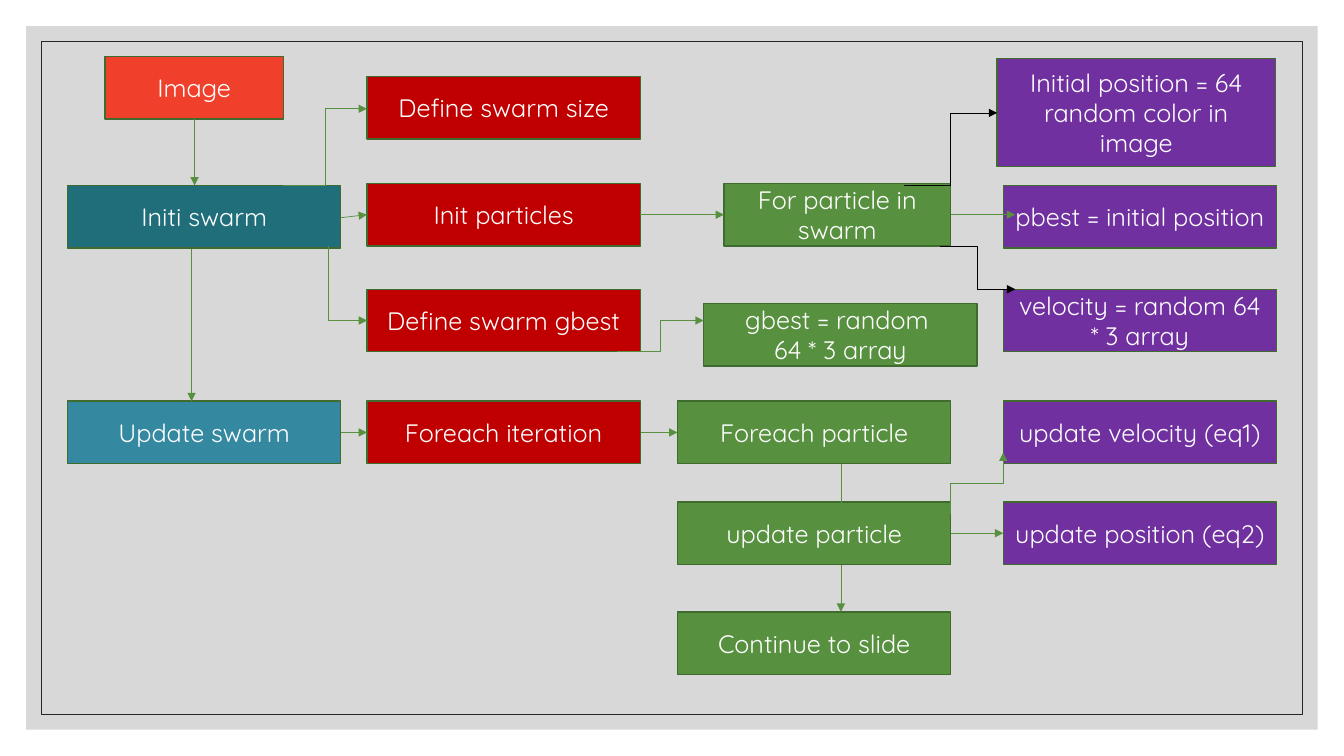
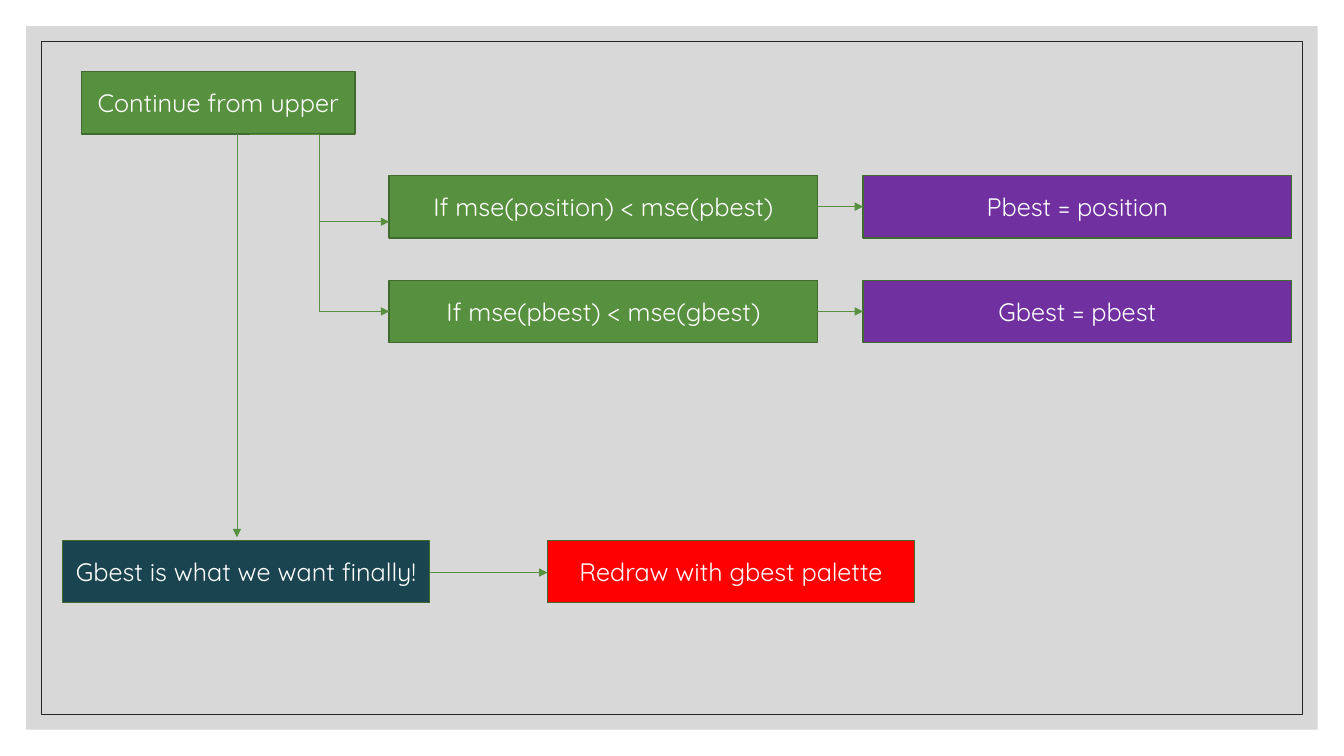
"""Build two flowchart slides describing a swarm search for a colour palette."""
from lxml import etree
from pptx import Presentation
from pptx.dml.color import RGBColor
from pptx.enum.shapes import MSO_CONNECTOR, MSO_SHAPE
from pptx.enum.text import MSO_ANCHOR, PP_ALIGN
from pptx.oxml.ns import qn
from pptx.util import Inches, Pt

RECTANGLE = MSO_SHAPE.RECTANGLE
STRAIGHT, ELBOW = MSO_CONNECTOR.STRAIGHT, MSO_CONNECTOR.ELBOW
CENTER, MIDDLE = PP_ALIGN.CENTER, MSO_ANCHOR.MIDDLE

FONT = "Quicksand"
WHITE = RGBColor(0xFF, 0xFF, 0xFF)
BLACK = RGBColor(0x00, 0x00, 0x00)
GRAY = RGBColor(0xBF, 0xBF, 0xBF)
CHARCOAL = RGBColor(0x26, 0x26, 0x26)
GREEN = RGBColor(0x57, 0x90, 0x3F)
DARK_GREEN = RGBColor(0x40, 0x6B, 0x2F)
PURPLE = RGBColor(0x70, 0x30, 0xA0)
CRIMSON = RGBColor(0xC0, 0x00, 0x00)
RED = RGBColor(0xFF, 0x00, 0x00)
ORANGE = RGBColor(0xF0, 0x3F, 0x2B)
TEAL = RGBColor(0x1F, 0x6E, 0x7A)
BLUE = RGBColor(0x34, 0x88, 0xA0)
NAVY = RGBColor(0x1A, 0x44, 0x50)

WIDTH, HEIGHT = 13.33, 7.5
BOX_WIDTH, BOX_HEIGHT = 2.71, 0.62
WIDE, MEDIUM = 4.25, 3.64
STAGE, STEP, LOOP, RESULT = 0.67, 3.64, 6.72, 9.95
TEST, ACTION = 3.86, 8.56
INIT_ROW, GBEST_ROW, UPDATE_ROW, PARTICLE_ROW, END_ROW = 1.84, 2.87, 3.98, 4.98, 6.07
PBEST_TEST_ROW, GBEST_TEST_ROW, FINAL_ROW = 1.74, 2.78, 5.36


def add_box(slide, text, fill, left, top, width=BOX_WIDTH, height=BOX_HEIGHT):
    """Add a filled rectangle with centred white text."""
    shape = slide.shapes.add_shape(RECTANGLE, Inches(left), Inches(top), Inches(width), Inches(height))
    shape.shadow.inherit = False
    shape.fill.solid()
    shape.fill.fore_color.rgb = fill
    shape.line.color.rgb = DARK_GREEN
    shape.line.width = Pt(1)
    shape.text_frame.text = text
    shape.text_frame.word_wrap = True
    shape.text_frame.vertical_anchor = MIDDLE
    for paragraph in shape.text_frame.paragraphs:
        paragraph.alignment = CENTER
        for run in paragraph.runs:
            run.font.name = FONT
            run.font.size = Pt(18)
            run.font.color.rgb = WHITE


def add_arrow(slide, route, x1, y1, x2, y2, color=GREEN):
    """Add an arrow; 'corner' and 'upright' routes leave their start vertically."""
    turned = route in ("corner", "upright")
    if turned:
        middle_x, middle_y = (x1 + x2) / 2, (y1 + y2) / 2
        half_x, half_y = (x2 - x1) / 2, (y2 - y1) / 2
        x1, x2 = middle_x + half_y, middle_x - half_y
        y1, y2 = middle_y - half_x, middle_y + half_x
    kind = STRAIGHT if route == "straight" else ELBOW
    connector = slide.shapes.add_connector(kind, Inches(x1), Inches(y1), Inches(x2), Inches(y2))
    connector.line.color.rgb = color
    connector.line.width = Pt(0.5)
    properties = connector._element.spPr
    if turned:
        properties.find(qn("a:xfrm")).set("rot", str(270 * 60000))
    if route == "corner":
        properties.find(qn("a:prstGeom")).set("prst", "bentConnector2")
    etree.SubElement(properties.find(qn("a:ln")), qn("a:tailEnd"), type="triangle")
    etree.SubElement(properties, qn("a:effectLst"))


presentation = Presentation()
presentation.slide_width, presentation.slide_height = Inches(WIDTH), Inches(HEIGHT)
blank_layout = presentation.slide_layouts[6]
for placeholder in list(blank_layout.placeholders):
    placeholder._element.getparent().remove(placeholder._element)
swarm_slide = presentation.slides.add_slide(blank_layout)
result_slide = presentation.slides.add_slide(blank_layout)

for margin in (0.26, 0.41):
    frame = swarm_slide.shapes.add_shape(
        RECTANGLE, Inches(margin), Inches(margin), Inches(WIDTH - 2 * margin), Inches(HEIGHT - 2 * margin))
    frame.shadow.inherit = False
    if margin == 0.26:
        frame.fill.solid()
        frame.fill.fore_color.rgb = GRAY
        frame_color = frame._element.spPr.find(qn("a:solidFill"))[0]
        etree.SubElement(frame_color, qn("a:alpha"), val="60000")
        frame.line.fill.background()
    else:
        frame.fill.background()
        frame.line.color.rgb = CHARCOAL
        frame.line.width = Pt(0.5)
    blank_layout.shapes._spTree.append(frame._element)

swarm_boxes = [
    ("Image", ORANGE, 1.04, 0.56, 1.77),
    ("Initi swarm", TEAL, STAGE, INIT_ROW),
    ("Define swarm size", CRIMSON, STEP, 0.76),
    ("Init particles", CRIMSON, STEP, 1.82),
    ("For particle in swarm", GREEN, 7.18, 1.82, 2.25),
    ("Initial position = 64 random color in image", PURPLE, 9.89, 0.58, 2.76, 1.07),
    ("Define swarm gbest", CRIMSON, STEP, GBEST_ROW),
    ("pbest = initial position", PURPLE, RESULT, INIT_ROW),
    ("velocity = random 64 * 3 array", PURPLE, RESULT, GBEST_ROW),
    ("gbest = random \n64 * 3 array", GREEN, 6.98, 3.01),
    ("Update swarm", BLUE, STAGE, UPDATE_ROW),
    ("Foreach iteration", CRIMSON, STEP, UPDATE_ROW),
    ("Foreach particle", GREEN, LOOP, UPDATE_ROW),
    ("update particle", GREEN, LOOP, PARTICLE_ROW),
    ("update velocity (eq1)", PURPLE, RESULT, UPDATE_ROW),
    ("update position (eq2)", PURPLE, RESULT, PARTICLE_ROW),
    ("Continue to slide", GREEN, LOOP, END_ROW),
]
swarm_arrows = [
    ("straight", 1.93, 1.18, 1.93, INIT_ROW),
    ("straight", 1.9, 2.47, 1.9, UPDATE_ROW),
    ("elbow", 2.81, INIT_ROW, STEP, 1.08),
    ("corner", 3.26, 2.44, STEP, 3.18),
    ("straight", 3.38, 2.16, STEP, 2.13),
    ("straight", 6.35, 2.13, 7.18, 2.13),
    ("straight", 9.43, 2.13, 10.07, 2.13),
    ("elbow", 8.97, INIT_ROW, 9.89, 1.12, BLACK),
    ("elbow", 9.32, 2.44, 10.07, GBEST_ROW, BLACK),
    ("elbow", 6.12, 3.49, 6.98, 3.18),
    ("straight", 3.38, 4.29, STEP, 4.29),
    ("straight", 6.36, 4.29, LOOP, 4.29),
    ("straight", 8.34, 4.6, 8.34, 5.1),
    ("upright", 9.43, 5.1, RESULT, 4.49),
    ("straight", 9.43, 5.29, RESULT, 5.29),
    ("straight", 8.34, 5.61, 8.34, END_ROW),
]
result_boxes = [
    ("Continue from upper", GREEN, 0.81, 0.71),
    ("If mse(position) < mse(pbest)", GREEN, TEST, PBEST_TEST_ROW, WIDE),
    ("Pbest = position", PURPLE, ACTION, PBEST_TEST_ROW, WIDE),
    ("If mse(pbest) < mse(gbest)", GREEN, TEST, GBEST_TEST_ROW, WIDE),
    ("Gbest = pbest", PURPLE, ACTION, GBEST_TEST_ROW, WIDE),
    ("Gbest is what we want finally!", NAVY, 0.62, FINAL_ROW, MEDIUM),
    ("Redraw with gbest palette", RED, 5.43, FINAL_ROW, MEDIUM),
]
result_arrows = [
    ("straight", 2.35, 1.33, 2.35, 5.33),
    ("elbow", 2.48, 1.33, TEST, 2.2),
    ("corner", 3.17, 1.33, TEST, 3.09),
    ("straight", 8.1, 2.05, ACTION, 2.05),
    ("straight", 8.1, 3.09, ACTION, 3.09),
    ("straight", 4.26, 5.68, 5.43, 5.68),
]

for slide, boxes, arrows in (
    (swarm_slide, swarm_boxes, swarm_arrows),
    (result_slide, result_boxes, result_arrows),
):
    for box in boxes:
        add_box(slide, *box)
    for arrow in arrows:
        add_arrow(slide, *arrow)

presentation.save("out.pptx")
